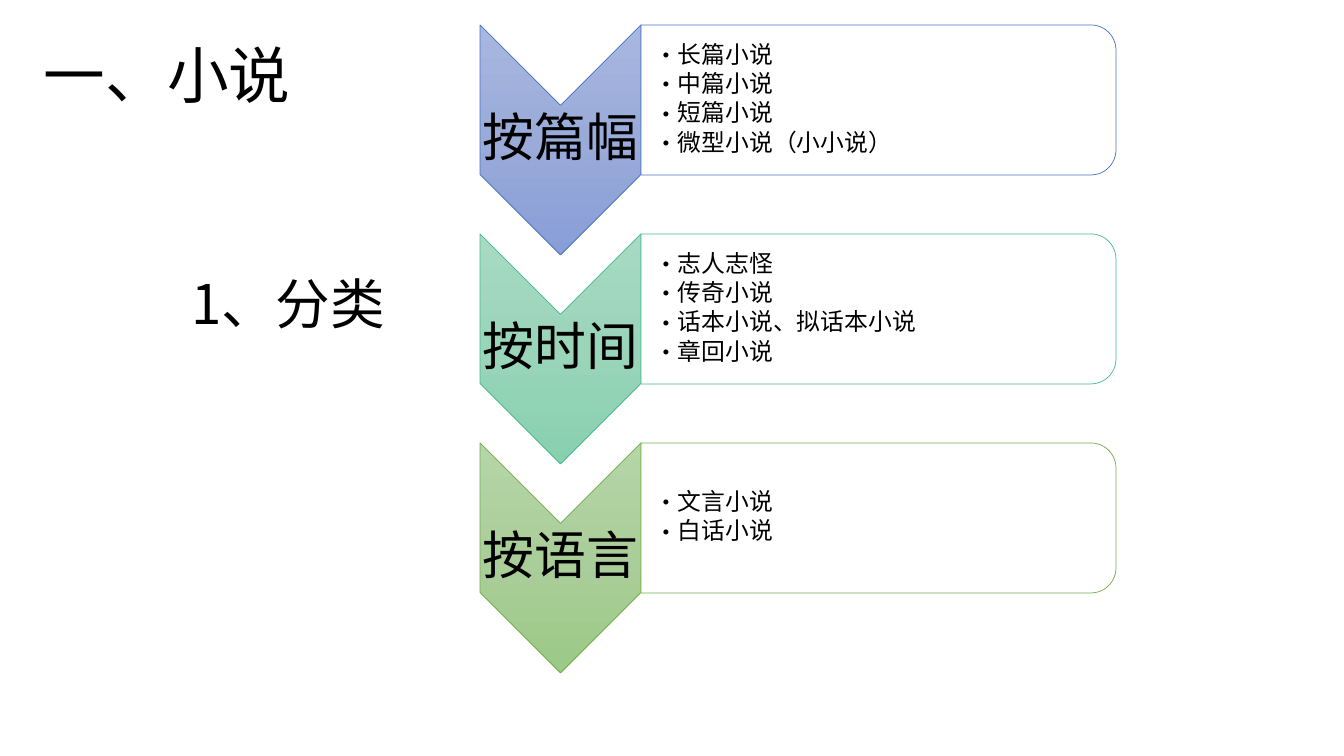
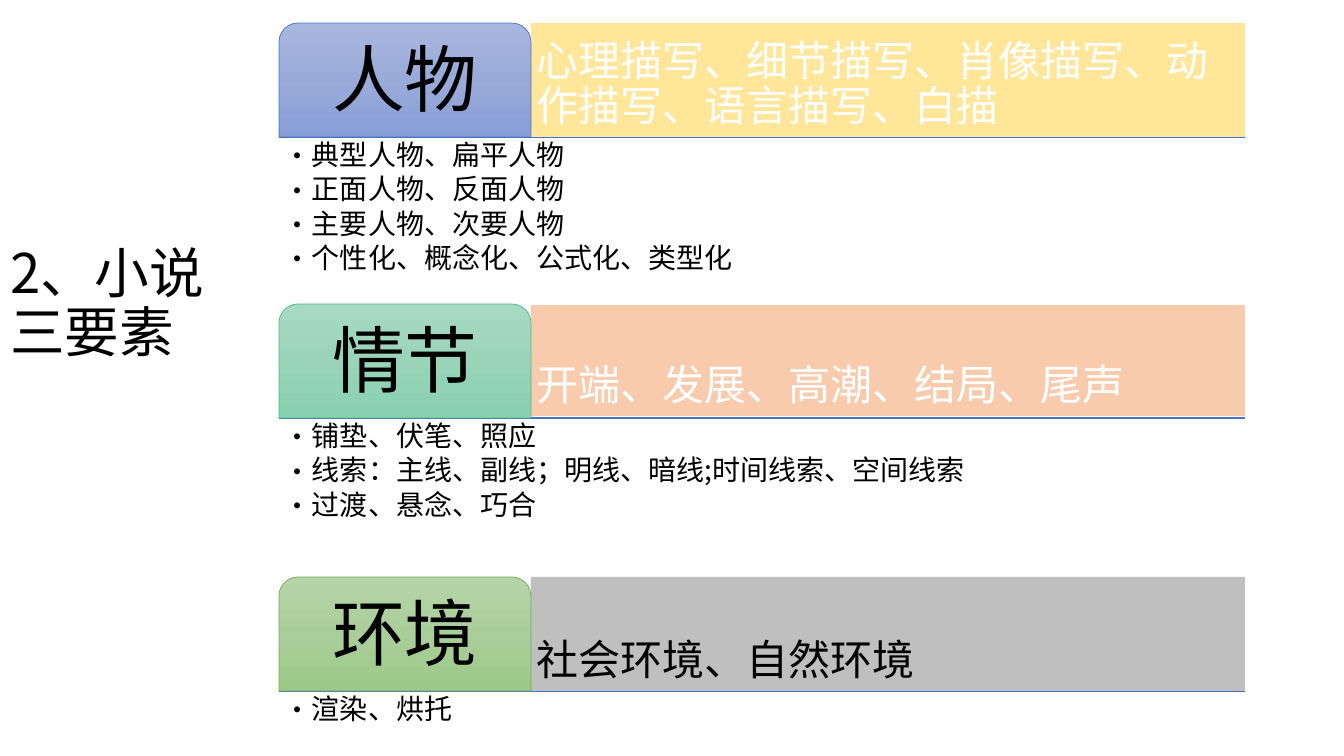
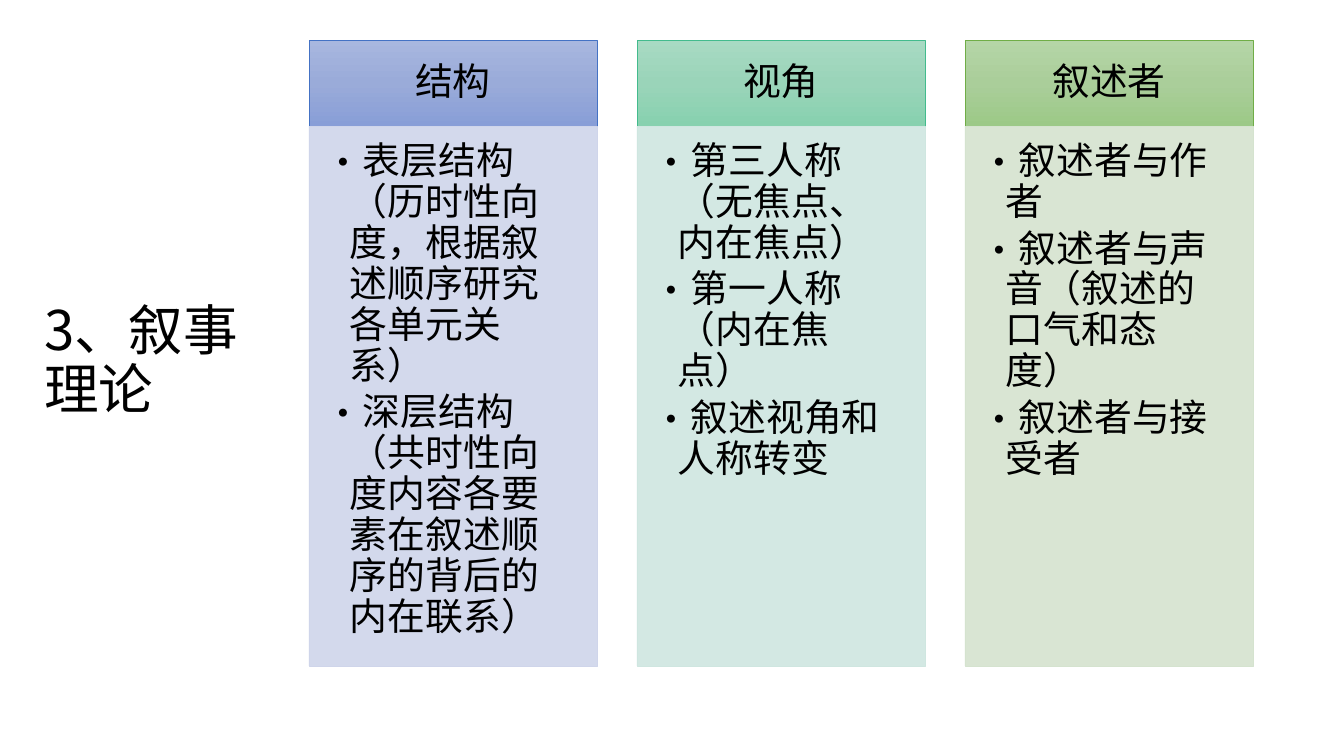
from pptx import Presentation
from pptx import util as u
from pptx.dml.color import RGBColor
from pptx.enum import shapes, text
from pptx.oxml import parse_xml
from pptx.oxml.ns import nsdecls, qn

# Content
TITLE = "一、小说"
HEADINGS = ["1、分类", "2、小说三要素", "3、叙事理论"]

KINDS = [
    ("按篇幅", ["长篇小说", "中篇小说", "短篇小说", "微型小说（小小说）"]),
    ("按时间", ["志人志怪", "传奇小说", "话本小说、拟话本小说", "章回小说"]),
    ("按语言", ["文言小说", "白话小说"]),
]

BLACK, WHITE = RGBColor(0, 0, 0), RGBColor(255, 255, 255)
YELLOW = RGBColor(0xFF, 0xE6, 0x99)
PEACH = RGBColor(0xF8, 0xCB, 0xAD)
GREY = RGBColor(0xBF, 0xBF, 0xBF)

# name, tab top, strip top, strip height, strip fill, strip ink, strip text, points
ELEMENTS = [
    ("人物", 23, 23, 114, YELLOW, WHITE,
     "心理描写、细节描写、肖像描写、动作描写、语言描写、白描",
     ["典型人物、扁平人物", "正面人物、反面人物", "主要人物、次要人物",
      "个性化、概念化、公式化、类型化"]),
    ("情节", 304, 305, 111, PEACH, WHITE, "开端、发展、高潮、结局、尾声",
     ["铺垫、伏笔、照应", "线索：主线、副线；明线、暗线;时间线索、空间线索",
      "过渡、悬念、巧合"]),
    ("环境", 577, 577, 114, GREY, BLACK, "社会环境、自然环境", ["渲染、烘托"]),
]

THEORY = [
    ("结构", ["表层结构（历时性向度，根据叙述顺序研究各单元关系）",
            "深层结构（共时性向度内容各要素在叙述顺序的背后的内在联系）"]),
    ("视角", ["第三人称（无焦点、内在焦点）", "第一人称（内在焦点）", "叙述视角和人称转变"]),
    ("叙述者", ["叙述者与作者", "叙述者与声音（叙述的口气和态度）", "叙述者与接受者"]),
]

# Shared style
FONT = "Noto Sans CJK SC"
BLUE = RGBColor(0x44, 0x72, 0xC4)
LINES = [BLUE, RGBColor(0x43, 0xBB, 0x8D), RGBColor(0x70, 0xAD, 0x47)]
PANELS = [RGBColor(0xCF, 0xD5, 0xEA), RGBColor(0xCF, 0xE6, 0xE0), RGBColor(0xD5, 0xE3, 0xCF)]
GRADIENTS = [["A8B7DF", "9AABD9", "889ED7"],
             ["A8DAC3", "9AD4B9", "87D1AF"],
             ["B5D5A7", "AACE9A", "9CC987"]]
SHAPE = shapes.MSO_SHAPE
TOP, MIDDLE, BOTTOM = (text.MSO_ANCHOR.TOP, text.MSO_ANCHOR.MIDDLE, text.MSO_ANCHOR.BOTTOM)
LEFT, CENTER = text.PP_ALIGN.LEFT, text.PP_ALIGN.CENTER


def px(count):
    return u.Emu(round(count * 914400 / 100.8))


def write(shape, lines, size, color=BLACK, anchor=MIDDLE, align=LEFT,
          insets=(10, 5, 10, 5), after=0, bullet=0):
    """Fill a shape with paragraphs; bullet is the hanging indent in px."""
    frame = shape.text_frame
    frame.word_wrap = True
    frame.vertical_anchor = anchor
    (frame.margin_left, frame.margin_top,
     frame.margin_right, frame.margin_bottom) = map(px, insets)
    frame.text = "\n".join(lines)
    for para in frame.paragraphs:
        para.alignment = align
        para.line_spacing = 0.9
        props = para._p.get_or_add_pPr()
        if after:
            props.append(parse_xml(
                f'<a:spcAft {nsdecls("a")}><a:spcPct val="{after * 1000}"/></a:spcAft>'))
        if bullet:
            para.level = 1
            props.set("marL", str(px(bullet)))
            props.set("indent", str(-px(bullet)))
            props.append(parse_xml(f'<a:buFont {nsdecls("a")} typeface="{FONT}"/>'))
            props.append(parse_xml(f'<a:buChar {nsdecls("a")} char="•"/>'))
        for span in para.runs:
            span.font.name = FONT
            span.font.size = u.Pt(size)
            span.font.color.rgb = color


def add_text(page, box, lines, size, **style):
    write(page.shapes.add_textbox(*map(px, box)), lines, size, **style)


def add_block(page, preset, box, fill, line=None, alpha=100, turned=False):
    """Add a preset shape; a list as fill is a downward gradient."""
    left, top, width, height = box
    if turned:
        left, top = left + (width - height) / 2, top + (height - width) / 2
        width, height = height, width
    shape = page.shapes.add_shape(preset, *map(px, (left, top, width, height)))
    shape.shadow.inherit = False
    shape.rotation = 90 if turned else 0
    shape.fill.solid()
    if isinstance(fill, list):
        stops = "".join(f'<a:gs pos="{i * 50000}"><a:srgbClr val="{color}"/></a:gs>'
                        for i, color in enumerate(fill))
        props = shape._element.spPr
        props.replace(props.find(qn("a:solidFill")), parse_xml(
            f'<a:gradFill {nsdecls("a")} rotWithShape="0"><a:gsLst>{stops}</a:gsLst>'
            '<a:lin ang="5400000" scaled="0"/></a:gradFill>'))
    else:
        shape.fill.fore_color.rgb = fill
        if alpha < 100:
            shape._element.spPr.find(f'{qn("a:solidFill")}/{qn("a:srgbClr")}').append(
                parse_xml(f'<a:alpha {nsdecls("a")} val="{alpha * 1000}"/>'))
    if line is None:
        shape.line.fill.background()
    else:
        shape.line.color.rgb = line
        shape.line.width = u.Pt(0.5)
    return shape


def add_rule(page, left, right, y):
    rule = page.shapes.add_connector(
        shapes.MSO_CONNECTOR.STRAIGHT, px(left), px(y), px(right), px(y))
    rule.line.color.rgb = BLUE
    rule.line.width = u.Pt(1)
    rule._element.spPr.append(parse_xml(f'<a:effectLst {nsdecls("a")}/>'))


def build_kinds(page):
    add_text(page, (34, 24, 294, 109), [TITLE], 44)
    left, split, pitch = 480, 641, 209
    for i, (name, points) in enumerate(KINDS):
        top = 25 + i * pitch
        add_block(page, SHAPE.CHEVRON, (left, top, split - left, 230),
                  GRADIENTS[i], LINES[i], turned=True)
        add_text(page, (left, top + 80, split - left, 70), [name], 37,
                 align=CENTER, insets=(2, 3, 2, 3), after=35)
        add_block(page, SHAPE.ROUND_2_SAME_RECTANGLE, (split, top, 475, 150),
                  WHITE, LINES[i], alpha=90, turned=True)
        add_text(page, (split, top + 7, 468, 135), points, 17,
                 insets=(13, 1, 1, 1), after=15, bullet=19)
    add_text(page, (181, 264, 236, 86), [HEADINGS[0]], 39)


def build_elements(page):
    left, split, right, tab_height = 279, 531, 1245, 114
    for element in reversed(ELEMENTS):
        add_rule(page, left, right, element[1] + tab_height)
    for i, (name, top, strip_top, strip_height, fill, ink, strip, points) in enumerate(ELEMENTS):
        band = add_block(page, SHAPE.RECTANGLE,
                         (split, strip_top, right - split, strip_height), fill)
        write(band, [strip], 30, color=ink, anchor=BOTTOM, insets=(6, 6, 6, 6), after=35)
        tab = add_block(page, SHAPE.ROUND_2_SAME_RECTANGLE,
                        (left, top, split - left, tab_height), GRADIENTS[i], LINES[i])
        write(tab, [name], 52, align=CENTER, insets=(11, 11, 11, 11), after=35)
        bottom = top + tab_height
        add_text(page, (left, bottom, right - left, min(160, 755 - bottom)), points, 20,
                 anchor=TOP, insets=(5, 4, 4, 4), after=15, bullet=25)
    add_text(page, (0, 221, 246, 169), [HEADINGS[1]], 39)


def build_theory(page):
    add_text(page, (34, 277, 241, 170), [HEADINGS[2]], 39)
    width, pitch = 288, 328
    for i, (name, points) in enumerate(THEORY):
        left = 309 + i * pitch
        header = add_block(page, SHAPE.RECTANGLE, (left, 40, width, 86),
                           GRADIENTS[i], LINES[i])
        write(header, [name], 27, align=CENTER, insets=(21, 12, 21, 12), after=35)
        panel = add_block(page, SHAPE.RECTANGLE, (left, 126, width, 540),
                          PANELS[i], PANELS[i], alpha=90)
        write(panel, points, 27, anchor=TOP, insets=(16, 16, 21, 24), after=15, bullet=25)


def main():
    deck = Presentation()
    deck.slide_width, deck.slide_height = px(1344), px(756)
    for build in (build_kinds, build_elements, build_theory):
        build(deck.slides.add_slide(deck.slide_layouts[6]))
    deck.save("out.pptx")


if __name__ == "__main__":
    main()
